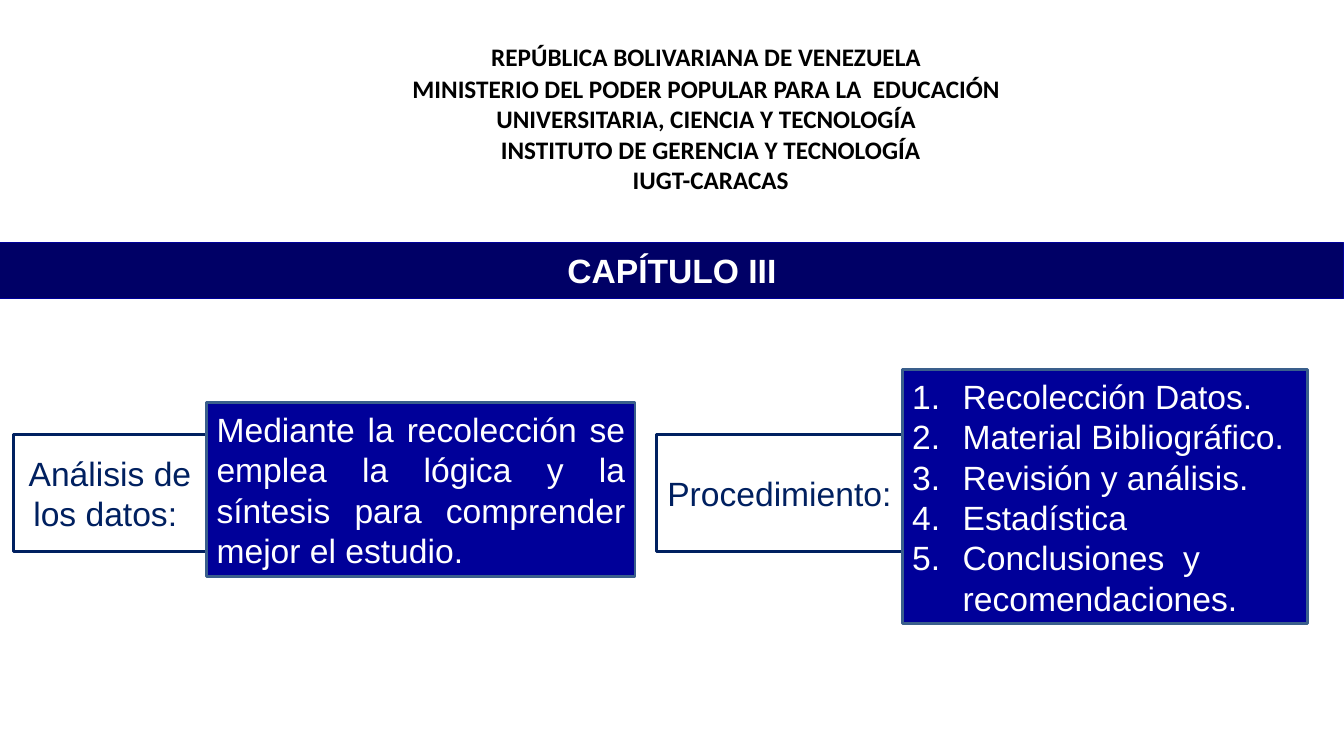
from lxml.etree import SubElement
from pptx import Presentation
from pptx.dml.color import RGBColor
from pptx.enum.shapes import MSO_SHAPE as Shape
from pptx.enum.text import MSO_ANCHOR as Anchor, PP_ALIGN as Align
from pptx.oxml.ns import qn
from pptx.util import Inches, Pt

BLACK = RGBColor(0x00, 0x00, 0x00)
WHITE = RGBColor(0xFF, 0xFF, 0xFF)
NAVY = RGBColor(0x00, 0x20, 0x60)
BAND = RGBColor(0x00, 0x00, 0x66)
BLUE = RGBColor(0x00, 0x00, 0x99)
STEEL = RGBColor(0x3A, 0x5F, 0x8C)

WIDTH, HEIGHT = Inches(13.33), Inches(7.5)
LABEL_TOP, LABEL_HEIGHT = 57.47, 15.47
INDENT = Inches(0.5)

HEADINGS = [
    ((36.53, 17.07, 33, 9.47), False,
     [("INSTITUTO DE GERENCIA Y TECNOLOGÍA", Align.LEFT), ("IUGT-CARACAS", Align.CENTER)]),
    ((27.53, 9.07, 50.03, 9.47), True,
     [("MINISTERIO DEL PODER POPULAR PARA LA  EDUCACIÓN UNIVERSITARIA, CIENCIA Y TECNOLOGÍA",
       Align.CENTER)]),
    ((35.63, 4.8, 33.83, 5.33), True,
     [("REPÚBLICA BOLIVARIANA DE VENEZUELA", Align.CENTER)]),
]
CHAPTER = [("CAPÍTULO III", Align.CENTER)]
TOPICS = [
    {"label": "Análisis de los datos: ", "left": 0.98, "label_width": 14.4,
     "top": 53.2, "width": 31.88, "height": 23.07, "numbered": False,
     "detail": [("Mediante la recolección se emplea la lógica y la síntesis "
                 "para comprender mejor el estudio.", Align.JUSTIFY)]},
    {"label": "Procedimiento: ", "left": 48.84, "label_width": 18.3,
     "top": 48.93, "width": 30.16, "height": 33.6, "numbered": True,
     "detail": [("Recolección Datos.", Align.JUSTIFY),
                ("Material Bibliográfico.", Align.JUSTIFY),
                ("Revisión y análisis.", Align.JUSTIFY),
                ("Estadística", Align.LEFT),
                ("Conclusiones  y recomendaciones.", Align.LEFT)]},
]


def place(left, top, width, height):
    """Turn percentages of the slide into lengths."""
    return [round(share * side / 100) for share, side in
            zip((left, top, width, height), (WIDTH, HEIGHT, WIDTH, HEIGHT))]


def write(shape, lines, size, font_name, color, bold=False, numbered=False):
    """Fill a shape with aligned and optionally numbered paragraphs."""
    frame = shape.text_frame
    for index, (text, align) in enumerate(lines):
        paragraph = frame.add_paragraph() if index else frame.paragraphs[0]
        paragraph.text = text
        paragraph.alignment = align
        if numbered:
            properties = paragraph._p.get_or_add_pPr()
            properties.set("marL", str(INDENT))
            properties.set("indent", str(-INDENT))
            SubElement(properties, qn("a:buFont")).set("typeface", "+mj-lt")
            SubElement(properties, qn("a:buAutoNum")).set("type", "arabicPeriod")
        font = paragraph.font
        font.size, font.name, font.bold = Pt(size), font_name, bold
        font.color.rgb = color


def add_box(slide, area, fill, line, line_width, anchor):
    """Add a rectangle with wrapped text."""
    box = slide.shapes.add_shape(Shape.RECTANGLE, *place(*area))
    box.shadow.inherit = False
    if fill is None:
        box.fill.background()
    else:
        box.fill.solid()
        box.fill.fore_color.rgb = fill
    box.line.color.rgb = line
    box.line.width = Pt(line_width)
    box.text_frame.word_wrap = True
    box.text_frame.vertical_anchor = anchor
    return box


def main():
    """Build the chapter slide."""
    presentation = Presentation()
    presentation.slide_width, presentation.slide_height = WIDTH, HEIGHT
    slide = presentation.slides.add_slide(presentation.slide_layouts[6])

    band = add_box(slide, (0, 32.13, 100, 7.33), BAND, BLUE, 0.75, Anchor.TOP)
    frame = band.text_frame
    frame.margin_left = frame.margin_right = Inches(0.15)
    frame.margin_top = frame.margin_bottom = Inches(0.07)
    write(band, CHAPTER, 24, "Arial", WHITE, bold=True)

    for area, wrap, lines in HEADINGS:
        heading = slide.shapes.add_textbox(*place(*area))
        heading.text_frame.word_wrap = wrap
        write(heading, lines, 18, "Calibri", BLACK, bold=True)

    for topic in TOPICS:
        left, label_width = topic["left"], topic["label_width"]
        label = add_box(slide, (left, LABEL_TOP, label_width, LABEL_HEIGHT),
                        None, NAVY, 2, Anchor.MIDDLE)
        write(label, [(topic["label"], Align.CENTER)], 24, "Arial", NAVY)
        detail = add_box(slide, (left + label_width, topic["top"], topic["width"], topic["height"]),
                         BLUE, STEEL, 2, Anchor.MIDDLE)
        write(detail, topic["detail"], 24, "Arial", WHITE, numbered=topic["numbered"])

    presentation.save("out.pptx")


if __name__ == "__main__":
    main()
